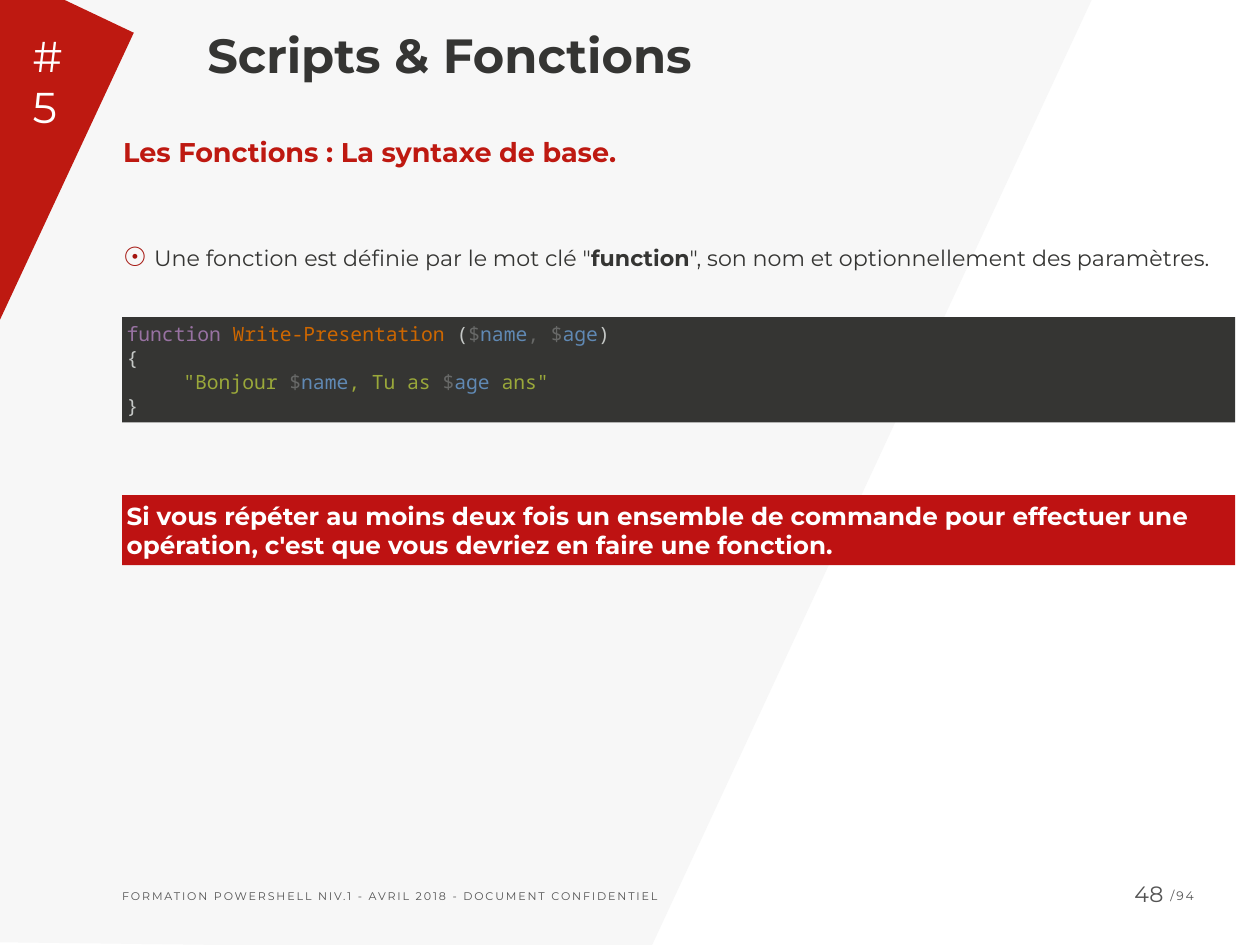
from lxml import etree
from pptx import Presentation, util as u
from pptx.dml import color
from pptx.enum import shapes, text
from pptx.oxml import ns

SANS, MONO = "Montserrat", "Noto Sans Mono"
RED, DARK, GREY, WHITE = "BE1911", "353533", "535353", "FFFFFF"
KEYWORD, COMMAND, PLAIN = "9872A2", "CE6700", "C5C8C6"
SIGIL, VARIABLE, STRING = "676867", "6089B4", "9AA83A"


def rgb(value):
    return color.RGBColor.from_string(value)


def add_run(paragraph, content, font=SANS, size=18, fill=DARK, bold=False, tracking=0):
    run = paragraph.add_run()
    run.text = content
    run.font.name = font
    run.font.size = u.Pt(size)
    run.font.bold = bold
    run.font.color.rgb = rgb(fill)
    if tracking:
        run.font._element.set("spc", str(int(tracking * 100)))


def add_property(paragraph, tag, **attributes):
    element = etree.SubElement(paragraph._p.get_or_add_pPr(), ns.qn(tag))
    for name, value in attributes.items():
        element.set(name, str(value))
    return element


class CourseSlide:
    def __init__(self, deck):
        self.slide = deck.slides.add_slide(deck.slide_layouts[5])

    def frame(self, shape, inset=0.06, anchor=text.MSO_ANCHOR.TOP):
        frame = shape.text_frame
        frame.word_wrap = True
        frame.auto_size = text.MSO_AUTO_SIZE.NONE
        frame.vertical_anchor = anchor
        frame.margin_left = frame.margin_right = u.Inches(inset)
        frame.margin_top = frame.margin_bottom = u.Inches(inset)
        frame.paragraphs[0].alignment = text.PP_ALIGN.LEFT
        return frame

    def fill(self, shape, value):
        shape.shadow.inherit = False
        shape.fill.solid()
        shape.fill.fore_color.rgb = rgb(value)
        shape.line.fill.background()

    def polygon(self, points, value):
        corners = [(u.Inches(x), u.Inches(y)) for x, y in points]
        builder = self.slide.shapes.build_freeform(*corners[0])
        builder.add_line_segments(corners[1:], close=True)
        self.fill(builder.convert_to_shape(), value)

    def title(self, content, box):
        heading = self.slide.shapes.title
        self.slide.shapes._spTree.append(heading._element)
        heading.left, heading.top, heading.width, heading.height = map(u.Inches, box)
        frame = self.frame(heading, anchor=text.MSO_ANCHOR.BOTTOM)
        add_run(frame.paragraphs[0], content, size=39, bold=True)

    def textbox(self, box, inset=0.06):
        return self.frame(self.slide.shapes.add_textbox(*map(u.Inches, box)), inset)

    def label(self, content, box, align=text.PP_ALIGN.LEFT, **style):
        paragraph = self.textbox(box).paragraphs[0]
        paragraph.alignment = align
        add_run(paragraph, content, **style)

    def panel(self, box, value):
        bar = self.slide.shapes.add_shape(
            shapes.MSO_SHAPE.RECTANGLE, *map(u.Inches, box))
        self.fill(bar, value)
        return self.frame(bar, inset=0.05, anchor=text.MSO_ANCHOR.MIDDLE)

    def code(self, lines, box):
        frame = self.panel(box, DARK)
        for number, line in enumerate(lines):
            paragraph = frame.add_paragraph() if number else frame.paragraphs[0]
            stops = add_property(paragraph, "a:tabLst")
            stop = etree.SubElement(stops, ns.qn("a:tab"))
            stop.set("pos", str(u.Inches(0.64)))
            stop.set("algn", "l")
            paragraph.alignment = text.PP_ALIGN.LEFT
            paragraph.line_spacing = u.Pt(19.5)
            for content, tint in line:
                add_run(paragraph, content, font=MONO, size=16, fill=tint)

    def callout(self, content, box, value):
        add_run(self.panel(box, value).paragraphs[0], content,
                size=20, fill=WHITE, bold=True)

    def body(self, heading, point, box):
        frame = self.textbox(box, inset=0)
        add_run(frame.paragraphs[0], heading, size=22, fill=RED, bold=True)
        bullet = frame.add_paragraph()
        properties = bullet._p.get_or_add_pPr()
        properties.set("marL", str(u.Inches(0.35)))
        properties.set("indent", str(-u.Inches(0.35)))
        tint = add_property(bullet, "a:buClr")
        etree.SubElement(tint, ns.qn("a:srgbClr")).set("val", "A4140E")
        add_property(bullet, "a:buSzPct", val=120000)
        add_property(bullet, "a:buFont", typeface=SANS)
        add_property(bullet, "a:buChar", char="☉")
        bullet.line_spacing = 1.5
        bullet.space_before = u.Pt(51)
        for content, bold in point:
            add_run(bullet, content, bold=bold)


def main():
    deck = Presentation()
    deck.slide_width, deck.slide_height = u.Inches(14.22), u.Inches(10.67)
    page = CourseSlide(deck)
    page.polygon([(0, 0), (12.32, 0), (7.36, 10.67), (2.5, 10.67), (0, 10.64)], "F7F7F7")
    page.polygon([(0, 0), (0.73, 0), (1.51, 0.37), (0, 3.61)], RED)
    page.label("FORMATION POWERSHELL NIV.1 - AVRIL 2018 - DOCUMENT CONFIDENTIEL",
               (1.32, 9.98, 10.44, 0.26), size=9, fill=GREY, tracking=1.5)
    page.label("/94", (13.15, 9.97, 0.79, 0.28), size=10, fill=GREY, tracking=1.5)
    page.label("48", (12.4, 9.88, 0.79, 0.37), align=text.PP_ALIGN.RIGHT, fill=GREY)
    page.label("#5", (0.31, 0.27, 0.6, 1.3), size=35, fill=WHITE)
    page.title("Scripts & Fonctions", (2.28, 0.1, 11.94, 0.9))
    page.body(
        "Les Fonctions : La syntaxe de base.",
        [("Une fonction est définie par le mot clé \"", False),
         ("function", True),
         ("\", son nom et optionnellement des paramètres.", False)],
        (1.39, 1.53, 12.54, 1.8))
    page.code([
        [("function ", KEYWORD), ("Write-Presentation", COMMAND), (" (", PLAIN),
         ("$", SIGIL), ("name", VARIABLE), (", $", SIGIL), ("age", VARIABLE),
         (")", PLAIN)],
        [("{", PLAIN)],
        [("\t\"Bonjour ", STRING), ("$", SIGIL), ("name", VARIABLE),
         (", Tu as ", STRING), ("$", SIGIL), ("age ", VARIABLE), ("ans\"", STRING)],
        [("}", PLAIN)],
    ], (1.38, 3.58, 12.56, 1.19))
    page.callout(
        "Si vous répéter au moins deux fois un ensemble de commande pour effectuer "
        "une opération, c'est que vous devriez en faire une fonction.",
        (1.38, 5.59, 12.56, 0.79), "BE1212")
    deck.save("out.pptx")


if __name__ == "__main__":
    main()
